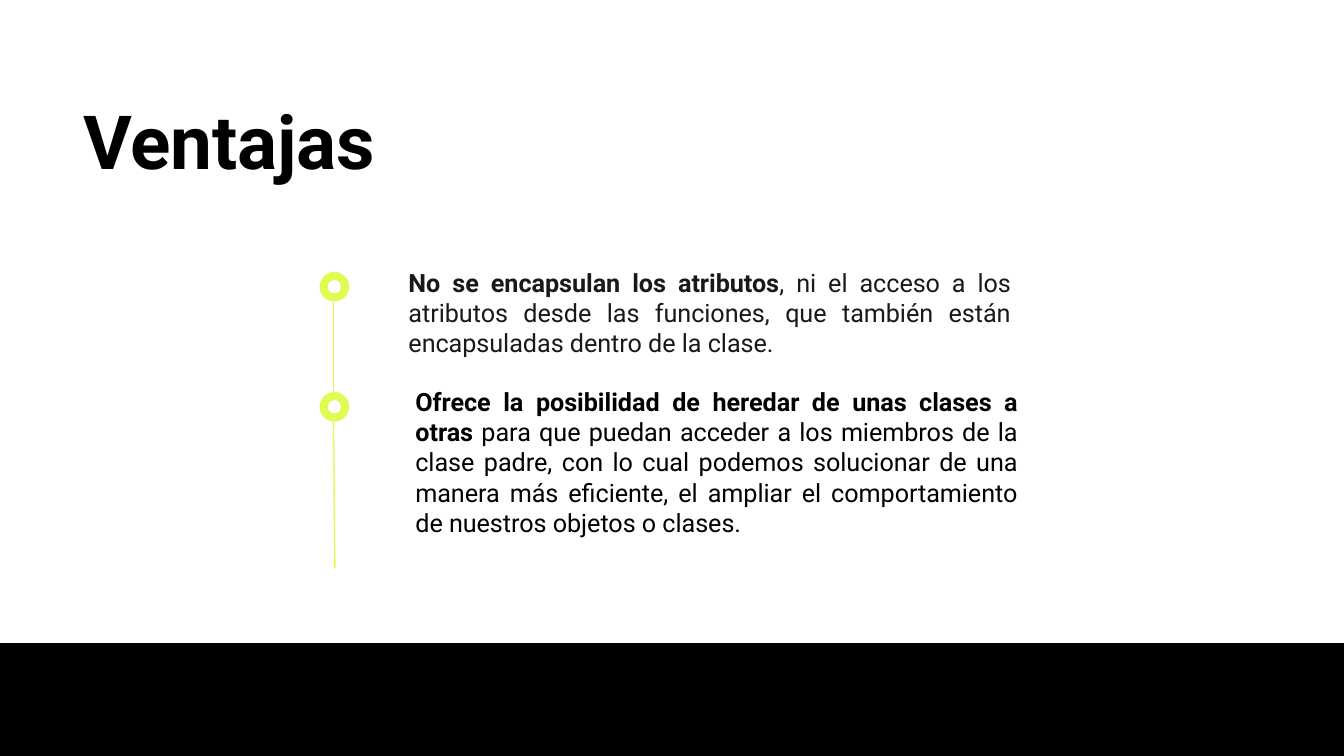
from lxml import etree
from pptx import Presentation
from pptx.dml.color import RGBColor
from pptx.enum.shapes import MSO_CONNECTOR, MSO_SHAPE
from pptx.enum.text import MSO_ANCHOR, MSO_AUTO_SIZE, PP_ALIGN
from pptx.oxml.ns import qn
from pptx.util import Cm, Pt

OVAL = MSO_SHAPE.OVAL
RECT = MSO_SHAPE.RECTANGLE
LINE = MSO_CONNECTOR.STRAIGHT
TOP = MSO_ANCHOR.TOP
FIXED = MSO_AUTO_SIZE.NONE
LEFT = PP_ALIGN.LEFT
FULL = PP_ALIGN.JUSTIFY

LIME = "DEFC52"
BLACK = "000000"
WHITE = "FFFFFF"
INK = "191919"
WIDE, HIGH = 25.4, 14.29
RING, HOLE = 0.56, 0.25
MID = 6.32

FRAME = {
    "word_wrap": True,
    "auto_size": FIXED,
    "vertical_anchor": TOP,
    "margin_left": Cm(0.25),
    "margin_right": Cm(0.25),
    "margin_top": Cm(0.25),
    "margin_bottom": Cm(0.25),
}
HEAD = {"alignment": LEFT, "line_spacing": 0.9, "space_before": Pt(0)}
BODY = {"alignment": FULL, "line_spacing": 1.0, "space_before": Pt(0)}

ITEMS = [
    (
        (7.47, 4.8, 11.89, 2.24),
        INK,
        "No se encapsulan los atributos",
        ", ni el acceso a los atributos desde las funciones, "
        "que también están encapsuladas dentro de la clase.",
    ),
    (
        (7.6, 7.05, 11.89, 3.4),
        BLACK,
        "Ofrece la posibilidad de heredar de unas clases a otras",
        " para que puedan acceder a los miembros de la clase padre, "
        "con lo cual podemos solucionar de una manera más eficiente, "
        "el ampliar el comportamiento de nuestros objetos o clases.",
    ),
]


def tint(code):
    return RGBColor.from_string(code)


def apply(item, style):
    for name, value in style.items():
        setattr(item, name, value)


def write(holder, box, look, runs, size, code):
    sides = zip(("left", "top", "width", "height"), map(Cm, box))
    apply(holder, dict(sides))
    frame = holder.text_frame
    apply(frame, FRAME)
    para = frame.paragraphs[0]
    props = para._p.get_or_add_pPr()
    props.set("marL", "0")
    props.set("indent", "0")
    etree.SubElement(props, qn("a:buNone"))
    apply(para, look)
    for text, bold in runs:
        run = para.add_run()
        run.text = text
        apply(run.font, {"name": "Roboto", "size": Pt(size), "bold": bold})
        run.font.color.rgb = tint(code)


def shape(shapes, kind, box, code, edge=0):
    item = shapes.add_shape(kind, *map(Cm, box))
    item.shadow.inherit = False
    item.fill.solid()
    item.fill.fore_color.rgb = tint(code)
    if edge:
        item.line.color.rgb = tint(code)
        item.line.width = Pt(edge)
    else:
        item.line.fill.background()


def ring(shapes, mid):
    group = shapes.add_group_shape()
    for size, code in ((RING, LIME), (HOLE, WHITE)):
        box = (MID - size / 2, mid - size / 2, size, size)
        shape(group.shapes, OVAL, box, code)


def line(shapes, start, end):
    item = shapes.add_connector(LINE, *map(Cm, start + end))
    item.line.color.rgb = tint(LIME)
    item.line.width = Pt(0.75)
    etree.SubElement(item._element.spPr, qn("a:effectLst"))


def main():
    deck = Presentation()
    deck.slide_width, deck.slide_height = Cm(WIDE), Cm(HIGH)
    slide = deck.slides.add_slide(deck.slide_layouts[3])
    shapes = slide.shapes
    title, *bodies = slide.placeholders

    for mid in (5.42, 7.69):
        ring(shapes, mid)
    line(shapes, (6.3, 5.7), (6.3, 7.42))
    line(shapes, (6.3, 7.9), (6.33, 10.74))

    write(title, (1.32, 1.73, 22.61, 2.06), HEAD, [("Ventajas", True)], 40, BLACK)
    for holder, (box, code, lead, rest) in zip(bodies, ITEMS):
        write(holder, box, BODY, [(lead, True), (rest, False)], 13.5, code)

    shape(shapes, RECT, (0, 12.19, WIDE, 2.1), BLACK, 2)
    deck.save("out.pptx")


if __name__ == "__main__":
    main()
